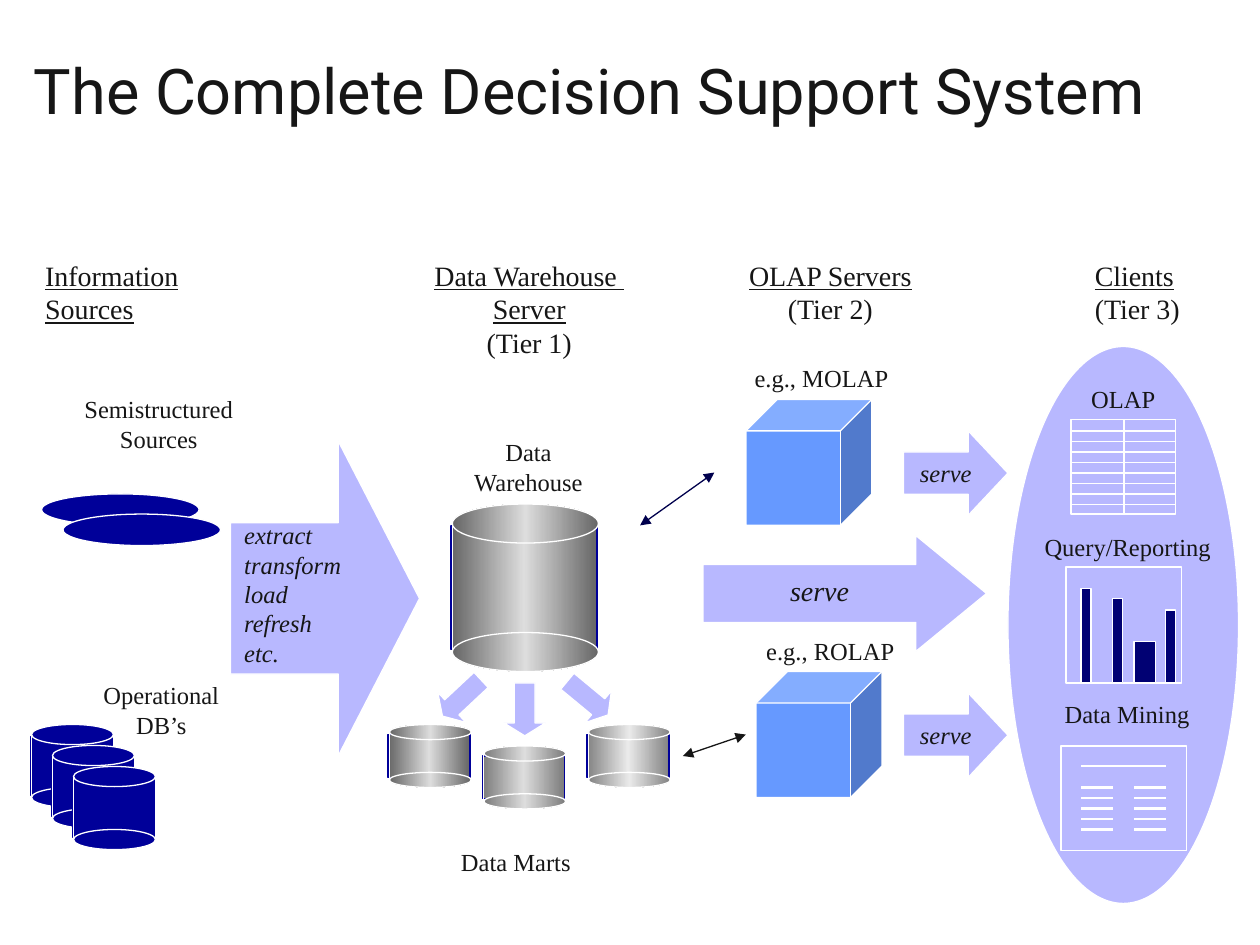
"""Build the decision support system slide."""
from copy import deepcopy

from lxml.etree import SubElement as Sub
from pptx import Presentation
from pptx.dml.color import RGBColor as RGB
from pptx.enum.shapes import MSO_CONNECTOR as Link, MSO_SHAPE as Kind
from pptx.enum.text import MSO_ANCHOR as Anchor, MSO_AUTO_SIZE as Auto, PP_ALIGN as Align
from pptx.oxml.ns import qn
from pptx.util import Inches, Pt

INK = RGB(0x16, 0x16, 0x16)
WHITE = RGB(0xFF, 0xFF, 0xFF)
NAVY = RGB(0x00, 0x00, 0x99)
DARK = RGB(0x01, 0x01, 0x73)
DEEP = RGB(0x00, 0x00, 0x4D)
LILAC = RGB(0xB8, 0xB8, 0xFF)
BLUE = RGB(0x66, 0x99, 0xFF)
STEEL = (RGB(0x66, 0x66, 0x66), RGB(0xDD, 0xDD, 0xDD))
GREY = (RGB(0x7C, 0x7C, 0x7C), RGB(0xDD, 0xDD, 0xDD))
PALE = (RGB(0x83, 0x83, 0x83), RGB(0xEA, 0xEA, 0xEA))


def write(frame, text, size=14, font="Times New Roman", align=Align.CENTER,
          italic=False, under=0, wrap=False, anchor=Anchor.TOP):
    """Fill a frame with lines of text, underlining the first few."""
    frame.word_wrap = wrap
    frame.vertical_anchor = anchor
    for i, line in enumerate(text.split("\n")):
        para = frame.paragraphs[0] if i == 0 else frame.add_paragraph()
        para.alignment = align
        run = para.add_run()
        run.text = line
        face = run.font
        face.name, face.size, face.italic = font, Pt(size), italic
        face.underline = i < under
        face.color.rgb = INK


def label(slide, text, *box, **form):
    """Add a text box that fits its text."""
    frame = slide.shapes.add_textbox(*map(Inches, box)).text_frame
    write(frame, text, **form)
    frame.auto_size = Auto.SHAPE_TO_FIT_TEXT


def shade(item, edge, mid):
    """Fill a shape with a gradient from edge to middle to edge."""
    item.fill.gradient()
    item.fill.gradient_angle = 0
    first, last = item.fill.gradient_stops
    first.color.rgb, last.color.rgb = edge, mid
    last.position = 0.5
    stops = item._element.spPr.find(qn("a:gradFill")).find(qn("a:gsLst"))
    end = deepcopy(stops[0])
    end.set("pos", "100000")
    stops.append(end)


def shape(home, kind, *box, fill=None, line=WHITE, width=0.75, adj=(), turn=0):
    """Add a preset shape with a plain, shaded or empty fill."""
    item = home.shapes.add_shape(kind, *map(Inches, box))
    item.shadow.inherit = False
    if fill is None:
        item.fill.background()
    elif isinstance(fill, RGB):
        item.fill.solid()
        item.fill.fore_color.rgb = fill
    else:
        shade(item, *fill)
    item.line.color.rgb = line
    item.line.width = Pt(width)
    for i, part in enumerate(adj):
        item.adjustments[i] = part
    item.rotation = turn
    return item


def rule(home, *ends, color=WHITE, width=0.75, heads=False):
    """Add a straight line, with arrowheads at both ends if asked."""
    item = home.shapes.add_connector(Link.STRAIGHT, *map(Inches, ends))
    item.line.color.rgb = color
    item.line.width = Pt(width)
    props = item._element.spPr
    if heads:
        for tag in ("a:headEnd", "a:tailEnd"):
            Sub(props.find(qn("a:ln")), qn(tag), type="triangle")
    Sub(props, qn("a:effectLst"))


def drum(slide, x, y, wide, high, cap, fill):
    """Add a grouped cylinder made of a body, two sides and two caps."""
    group = slide.shapes.add_group_shape()
    top, low = y + cap / 2, y + high - cap / 2
    shape(group, Kind.RECTANGLE, x - 0.01, top + 0.02, wide, low - top - 0.04,
          fill=fill, line=NAVY)
    for side in (x, x + wide):
        rule(group, side, top, side, low)
    for rim in (y, y + high - cap):
        shape(group, Kind.OVAL, x, rim, wide, cap, fill=fill)


def heads(slide):
    """Add the title and the column headings."""
    label(slide, "The Complete Decision Support System", 0.17, 0.08, 9.58, 1.25,
          size=36, font="Roboto", align=Align.LEFT, wrap=True, anchor=Anchor.MIDDLE)
    slide.shapes[0].text_frame.auto_size = Auto.NONE
    for text, x, wide, high, under, align in (
            ("Information Sources", 0.26, 2.01, 0.37, 1, Align.LEFT),
            ("Data Warehouse \nServer\n(Tier 1)", 3.34, 1.72, 0.9, 2, Align.CENTER),
            ("OLAP Servers\n(Tier 2)", 5.84, 1.5, 0.64, 1, Align.CENTER),
            ("Clients\n(Tier 3)", 8.59, 0.88, 0.64, 1, Align.LEFT)):
        label(slide, text, x, 2, wide, high, size=16, under=under, align=align)


def source(slide):
    """Add the information sources and the load arrow."""
    for x, y in ((0.33, 3.92), (0.5, 4.08)):
        shape(slide, Kind.OVAL, x, y, 1.25, 0.25, fill=NAVY)
    for i in range(3):
        drum(slide, 0.25 + i / 6, 5.75 + i / 6, 0.65, 0.66, 0.16, NAVY)
    label(slide, "Operational\nDB’s", 0.72, 5.35, 1.12, 0.57)
    label(slide, "Semistructured\nSources", 0.57, 3.08, 1.38, 0.57)
    shape(slide, Kind.RIGHT_ARROW, 1.83, 3.5, 1.5, 2.5, fill=LILAC, adj=(0.48, 0.43))
    label(slide, "extract\ntransform\nload\nrefresh\netc.", 1.84, 4.08, 0.97, 1.27,
          italic=True, align=Align.LEFT)


def store(slide):
    """Add the warehouse and its data marts."""
    drum(slide, 3.59, 4, 1.16, 1.33, 0.31, STEEL)
    for x, y, fill in ((3.09, 5.75, STEEL), (3.84, 5.92, GREY), (4.67, 5.75, PALE)):
        drum(slide, x, y, 0.65, 0.5, 0.12, fill)
    for x, y, turn in ((3.5, 5.33, 46.9), (4, 5.42, 0), (4.5, 5.33, 309.6)):
        shape(slide, Kind.DOWN_ARROW, x, y, 0.33, 0.42, fill=LILAC,
              adj=(0.5, 0.31), turn=turn)
    label(slide, "Data Marts", 3.56, 6.67, 1.07, 0.34)
    label(slide, "Data\nWarehouse", 3.66, 3.42, 1.07, 0.57)


def serve(slide):
    """Add the OLAP servers and the arrows around them."""
    for x, y in ((6, 5.33), (5.92, 3.17)):
        shape(slide, Kind.CUBE, x, y, 1, 1, fill=BLUE, adj=(0.25,))
    label(slide, "e.g., MOLAP", 5.89, 2.83, 1.26, 0.34)
    label(slide, "e.g., ROLAP", 5.98, 5, 1.22, 0.34)
    shape(slide, Kind.RIGHT_ARROW, 5.58, 4.25, 2.25, 0.92, fill=LILAC, adj=(0.5, 0.61))
    label(slide, "serve", 6.17, 4.5, 0.67, 0.37, size=16, italic=True)
    for y in (3.42, 5.5):
        arrow = shape(slide, Kind.RIGHT_ARROW, 7.17, y, 0.83, 0.67, fill=LILAC,
                      adj=(0.5, 0.47))
        write(arrow.text_frame, "serve", italic=True, anchor=Anchor.MIDDLE)
    rule(slide, 5.08, 4.17, 5.67, 3.75, color=DEEP, heads=True)
    rule(slide, 5.42, 6, 5.92, 5.83, color=INK, heads=True)


def client(slide):
    """Add the client oval with its table, chart and report."""
    shape(slide, Kind.OVAL, 8, 2.75, 1.83, 4.42, fill=LILAC)
    label(slide, "OLAP", 8.56, 3, 0.71, 0.34)
    label(slide, "Query/Reporting", 8.19, 4.17, 1.52, 0.34)
    label(slide, "Data Mining", 8.35, 5.5, 1.19, 0.34)

    shape(slide, Kind.RECTANGLE, 8.5, 3.33, 0.83, 0.75, width=1)
    rule(slide, 8.92, 3.33, 8.92, 4.08)
    for i in range(8):
        y = 3.42 + i / 12
        rule(slide, 8.5, y, 9.33, y, width=0.75 if i else 1)

    shape(slide, Kind.RECTANGLE, 8.46, 4.5, 0.92, 0.92)
    for x, wide, high in ((8.58, 0.08, 0.75), (8.83, 0.08, 0.67),
                          (9, 0.17, 0.33), (9.25, 0.08, 0.58)):
        shape(slide, Kind.RECTANGLE, x, 5.42 - high, wide, high, fill=DARK)

    shape(slide, Kind.RECTANGLE, 8.42, 5.92, 1, 0.83)
    rule(slide, 8.58, 6.08, 9.25, 6.08, width=1.5)
    for x in (8.58, 9):
        for i in range(5):
            y = 6.25 + i / 12
            rule(slide, x, y, x + 0.25, y, width=1.5)


def main():
    """Build and save the slide."""
    deck = Presentation()
    deck.slide_width, deck.slide_height = Inches(10), Inches(7.5)
    slide = deck.slides.add_slide(deck.slide_layouts[6])
    for part in (heads, source, store, client, serve):
        part(slide)
    deck.save("out.pptx")


if __name__ == "__main__":
    main()
